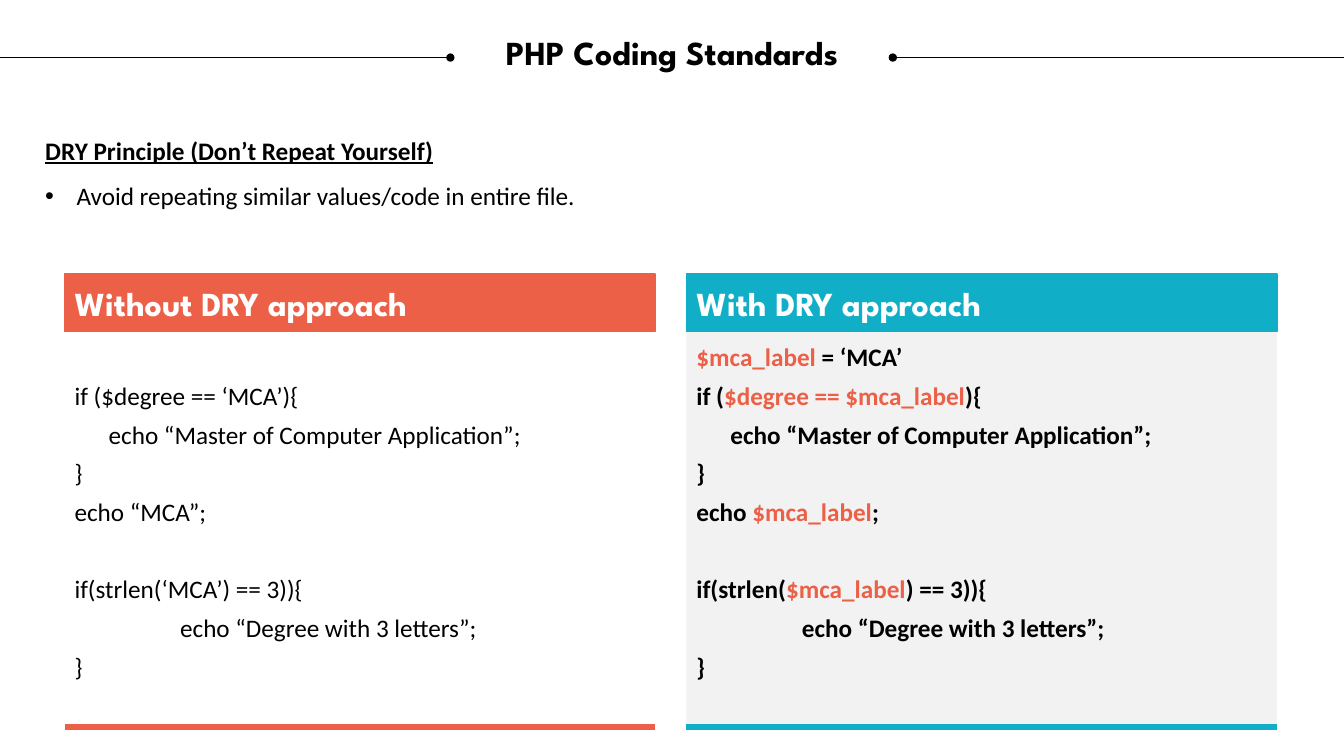
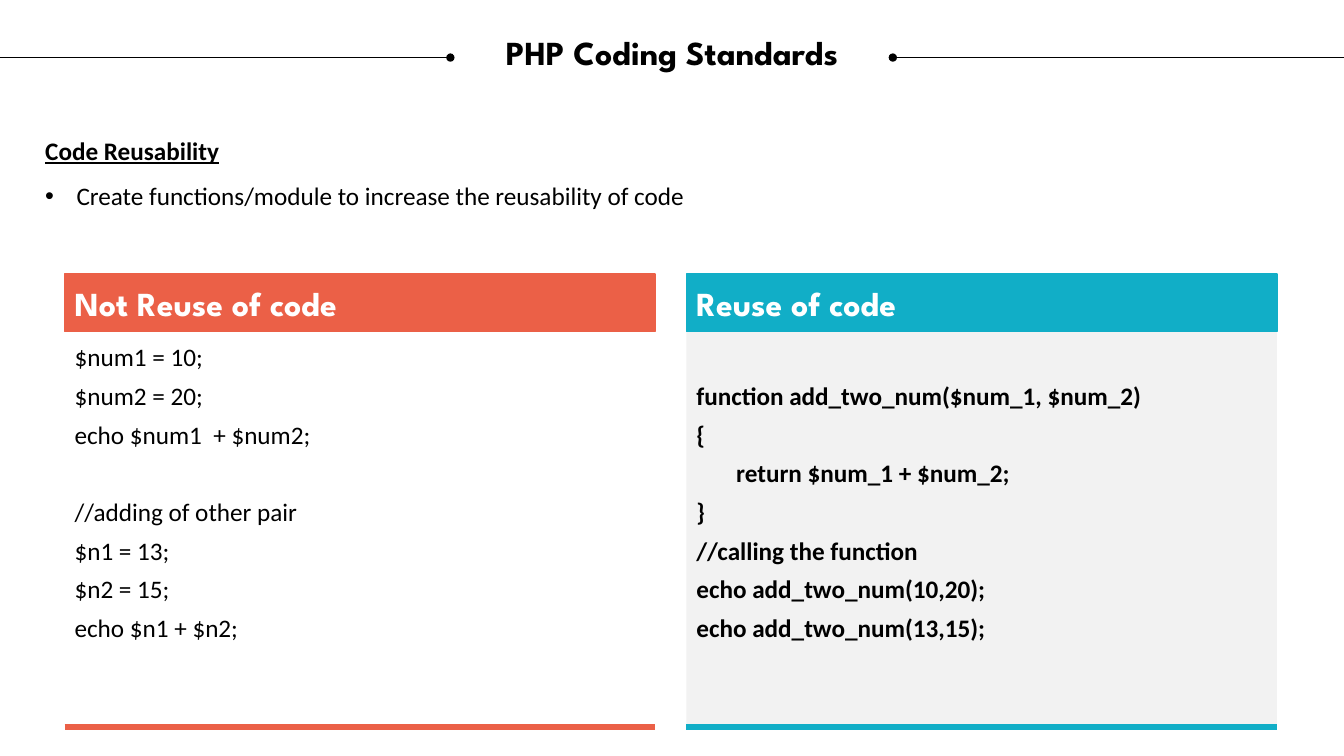
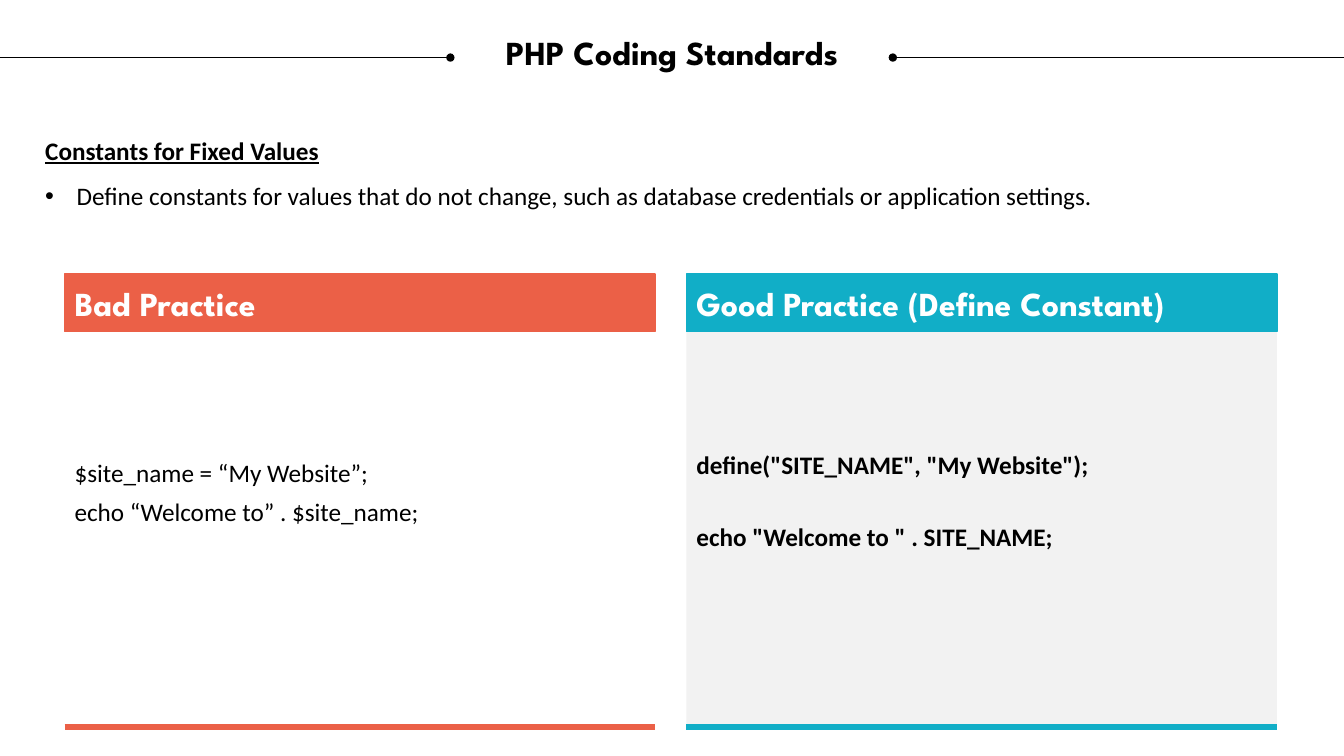
from dataclasses import dataclass

import lxml.etree
import pptx
import pptx.dml.color
import pptx.enum.shapes
import pptx.enum.text
import pptx.oxml.ns
import pptx.util

Cm = pptx.util.Cm
Pt = pptx.util.Pt
qn = pptx.oxml.ns.qn


@dataclass(frozen=True)
class Theme:
    black: str = "000000"
    white: str = "FFFFFF"
    grey: str = "F2F2F2"
    coral: str = "EB6047"
    teal: str = "11AEC7"
    title_font: str = "League Spartan"
    body_font: str = "Calibri"
    title_size: float = 24
    body_size: float = 18
    line_height: float = 21.6


theme = Theme()
rgb = pptx.dml.color.RGBColor.from_string


def format_font(font, name, size, colour, bold=False):
    font.name = name
    font.size = Pt(size)
    font.color.rgb = rgb(colour)
    font.bold = bold


def draw_line(shapes, start, end, y, colour, weight, dot=False):
    line = shapes.add_connector(
        pptx.enum.shapes.MSO_CONNECTOR.STRAIGHT, Cm(start), Cm(y), Cm(end), Cm(y))
    line.line.color.rgb = rgb(colour)
    line.line.width = Pt(weight)
    properties = line._element.spPr
    if dot:
        lxml.etree.SubElement(properties.find(qn("a:ln")), qn("a:tailEnd"), type="oval")
    lxml.etree.SubElement(properties, qn("a:effectLst"))


# Content: heading, bullet, then for each panel its title, space before lines and code.
# An empty string is an empty code line; text between bars is highlighted.
pages = [
    ("DRY Principle (Don’t Repeat Yourself)",
     "Avoid repeating similar values/code in entire file.",
     [("Without DRY approach", 6, [
         "",
         "if ($degree == ‘MCA’){",
         "      echo “Master of Computer Application”;",
         "}",
         "echo “MCA”;",
         "",
         "if(strlen(‘MCA’) == 3)){",
         "\techo “Degree with 3 letters”;",
         "}"]),
      ("With DRY approach", 6, [
          "|$mca_label |= ‘MCA’",
          "if (|$degree == $mca_label|){",
          "      echo “Master of Computer Application”;",
          "}",
          "echo |$mca_label|;",
          "",
          "if(strlen(|$mca_label|) == 3)){",
          "\techo “Degree with 3 letters”;",
          "}"])]),
    ("Code Reusability",
     "Create functions/module to increase the reusability of code",
     [("Not Reuse of code", 6, [
         "$num1 = 10;",
         "$num2 = 20;",
         "echo $num1  + $num2;",
         "",
         "//adding of other pair",
         "$n1 = 13;",
         "$n2 = 15;",
         "echo $n1 + $n2;"]),
      ("Reuse of code", 6, [
          "",
          "function add_two_num($num_1, $num_2)",
          "{",
          "       return $num_1 + $num_2;",
          "}",
          "//calling the function",
          "echo add_two_num(10,20);",
          "echo add_two_num(13,15);"])]),
    ("Constants for Fixed Values",
     "Define constants for values that do not change, such as database "
     "credentials or application settings.",
     [("Bad Practice", 6, [
         "", "", "",
         "$site_name = “My Website”;",
         "echo “Welcome to” . $site_name;"]),
      ("Good Practice (Define Constant)", 4, [
          "", "", "",
          'define("SITE_NAME", "My Website");',
          "",
          'echo "Welcome to " . SITE_NAME;'])]),
]

# Panel looks: left edge, accent colour, body fill, bold code
panel_looks = [
    (1.63, theme.coral, theme.white, False),
    (17.3, theme.teal, theme.grey, True),
]
page_width, page_height = 33.87, 19.05
panel_width, panel_top, header_height, body_height = 14.88, 6.91, 1.45, 9.96
body_top = panel_top + header_height
inset = Cm(0.25)

deck = pptx.Presentation()
deck.slide_width = Cm(page_width)
deck.slide_height = Cm(page_height)

for heading, bullet, panels in pages:
    page = deck.slides.add_slide(deck.slide_layouts[5])

    # Title between two dotted rules
    title = page.shapes.title
    title.left, title.top, title.width, title.height = Cm(0.64), Cm(0.91), Cm(32.59), Cm(0.91)
    frame = title.text_frame
    frame.text = "PHP Coding Standards"
    frame.margin_left = frame.margin_right = frame.margin_top = frame.margin_bottom = 0
    frame.vertical_anchor = pptx.enum.text.MSO_ANCHOR.TOP
    frame.auto_size = pptx.enum.text.MSO_AUTO_SIZE.SHAPE_TO_FIT_TEXT
    para = frame.paragraphs[0]
    para.alignment = pptx.enum.text.PP_ALIGN.CENTER
    para.line_spacing = 0.9
    format_font(para.runs[0].font, theme.title_font, theme.title_size, theme.black, True)
    for edge, dot_x in ((0, 11.35), (page_width, 22.5)):
        draw_line(page.shapes, edge, dot_x, 1.45, theme.black, 0.5, dot=True)

    # Heading and bullet
    box = page.shapes.add_textbox(Cm(0.89), Cm(2.9), Cm(30.76), Cm(2.44))
    frame = box.text_frame
    frame.word_wrap = True
    frame.text = heading + "\n" + bullet
    heading_para, bullet_para = frame.paragraphs
    properties = bullet_para._p.get_or_add_pPr()
    properties.set("marL", str(Cm(0.79)))
    properties.set("indent", str(-Cm(0.79)))
    lxml.etree.SubElement(properties, qn("a:buFont"), typeface="Arial")
    lxml.etree.SubElement(properties, qn("a:buChar"), char="•")
    for para in frame.paragraphs:
        para.line_spacing = 1.5
        format_font(para.runs[0].font, theme.body_font, theme.body_size, theme.black,
                    para is heading_para)
    heading_para.runs[0].font.underline = True
    bullet_para.runs[0].font.bold = False
    heading_para.runs[0].font.bold = True

    # Two code panels
    for (panel_title, space, code), (left, accent, fill, bold) in zip(panels, panel_looks):
        shapes = page.shapes.add_group_shape().shapes
        boxes = []
        for top, height, colour in ((body_top, body_height, fill),
                                    (panel_top, header_height, accent)):
            box = shapes.add_shape(pptx.enum.shapes.MSO_SHAPE.RECTANGLE,
                                   Cm(left), Cm(top), Cm(panel_width), Cm(height))
            box.shadow.inherit = False
            box.fill.solid()
            box.fill.fore_color.rgb = rgb(colour)
            frame = box.text_frame
            frame.word_wrap = True
            frame.margin_left = frame.margin_right = inset
            frame.margin_top = frame.margin_bottom = inset
            boxes.append(box)
        body, header = boxes
        draw_line(shapes, left, left + panel_width, body_top + body_height, accent, 4.5)

        # Header band
        header.line.color.rgb = rgb(accent)
        header.line.width = Pt(1)
        header.text_frame.vertical_anchor = pptx.enum.text.MSO_ANCHOR.MIDDLE
        para = header.text_frame.paragraphs[0]
        para.text = panel_title
        para.alignment = pptx.enum.text.PP_ALIGN.LEFT
        format_font(para.runs[0].font, theme.title_font, theme.title_size, theme.white, True)

        # Code lines, with empty lines turned into spacing
        body.line.fill.background()
        frame = body.text_frame
        frame.vertical_anchor = pptx.enum.text.MSO_ANCHOR.TOP
        para = None
        empty_lines = 0
        for code_line in code:
            if not code_line:
                empty_lines += 1
                continue
            gap = empty_lines * (theme.line_height + space)
            empty_lines = 0
            if para is None:
                para = frame.paragraphs[0]
                frame.margin_top = inset + Pt(gap)
            else:
                para = frame.add_paragraph()
                para.space_before = Pt(space + gap)
            para.alignment = pptx.enum.text.PP_ALIGN.LEFT
            if "\t" in code_line:
                tabs = lxml.etree.SubElement(para._p.get_or_add_pPr(), qn("a:tabLst"))
                lxml.etree.SubElement(tabs, qn("a:tab"), pos=str(Cm(2.66)), algn="l")
            for number, part in enumerate(code_line.split("|")):
                if part:
                    span = para.add_run()
                    span.text = part
                    format_font(span.font, theme.body_font, theme.body_size,
                                theme.coral if number % 2 else theme.black, bold)

deck.save("out.pptx")
